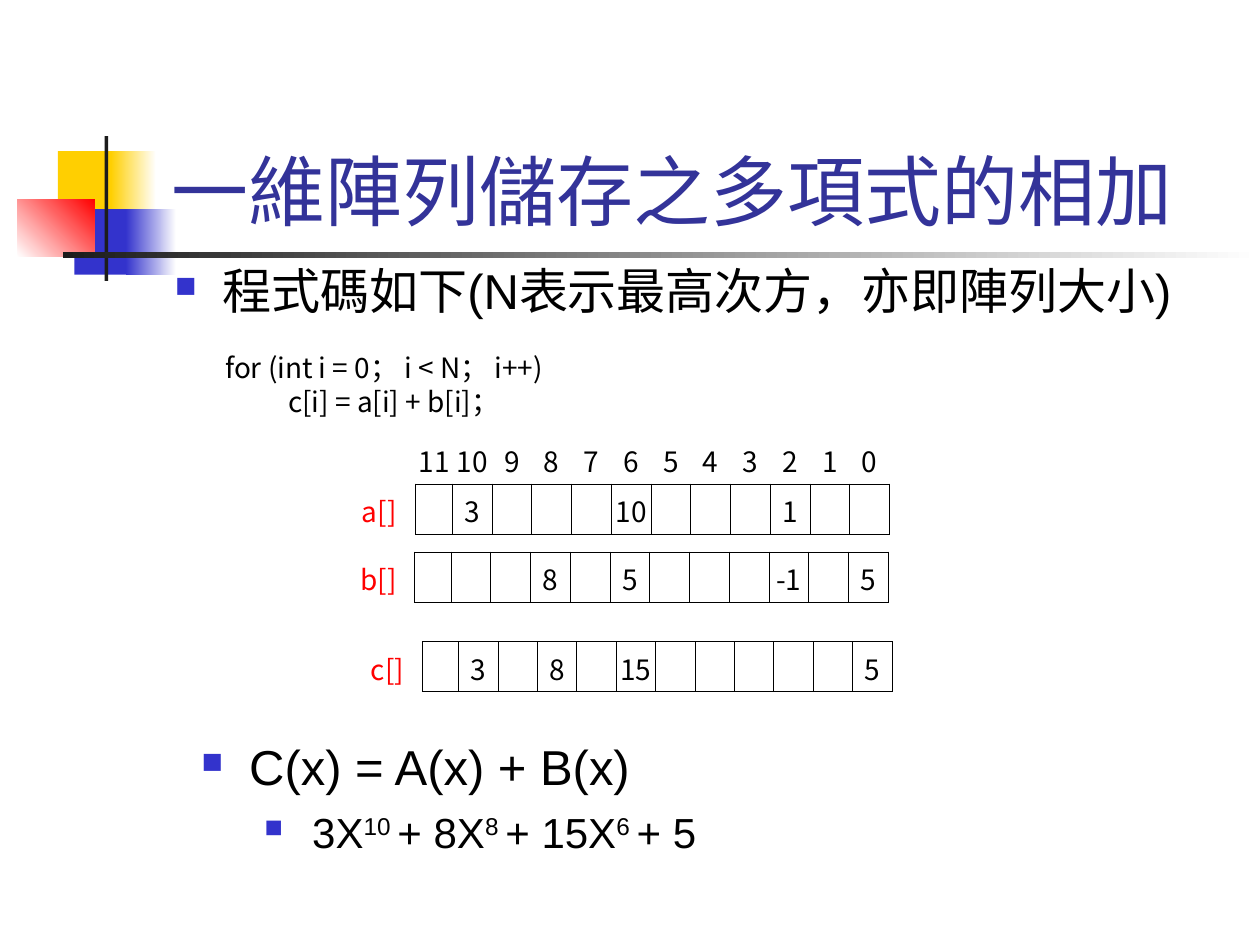
from lxml import etree
from pptx import Presentation
from pptx.dml.color import RGBColor
from pptx.enum.shapes import MSO_SHAPE
from pptx.enum.text import MSO_ANCHOR, MSO_AUTO_SIZE, PP_ALIGN
from pptx.oxml.ns import qn
from pptx.util import Inches, Pt

RECTANGLE = MSO_SHAPE.RECTANGLE
TOP, MIDDLE, BOTTOM = MSO_ANCHOR.TOP, MSO_ANCHOR.MIDDLE, MSO_ANCHOR.BOTTOM
GROW = MSO_AUTO_SIZE.SHAPE_TO_FIT_TEXT
CENTER = PP_ALIGN.CENTER

LATIN = "Arial"
CJK = "Noto Sans CJK TC"
COLORS = {
    "yellow": "FFCF01",
    "blue": "3333CC",
    "red": "FF0000",
    "white": "FFFFFF",
    "charcoal": "1C1C1C",
    "title": "333399",
    "text": "000000",
}
NO_TABLE_STYLE = "{2D5ABB26-0587-4C30-8999-92F81FD0307C}"
TOP_POWER = 11
FIRST_CELL_WIDTH = 0.29


def rgb(name):
    return RGBColor.from_string(COLORS[name])


def add_block(slide, box, colors, angle=0):
    block = slide.shapes.add_shape(RECTANGLE, *map(Inches, box))
    block.shadow.inherit = False
    block.line.fill.background()
    if len(colors) == 1:
        block.fill.solid()
        block.fill.fore_color.rgb = rgb(colors[0])
        return
    block.fill.gradient()
    block.fill.gradient_angle = angle
    for stop, color in zip(block.fill.gradient_stops, colors):
        stop.color.rgb = rgb(color)


def style_paragraph(paragraph, size, color="text", font=LATIN):
    paragraph.font.size = Pt(size)
    paragraph.font.color.rgb = rgb(color)
    paragraph.font.name = font
    defaults = paragraph._p.pPr.find(qn("a:defRPr"))
    etree.SubElement(defaults, qn("a:ea"), typeface=CJK)


def add_text_frame(slide, box, anchor=TOP):
    frame = slide.shapes.add_textbox(*map(Inches, box)).text_frame
    frame.word_wrap = True
    frame.vertical_anchor = anchor
    return frame


def add_bullet(paragraph, level=0):
    paragraph.level = level
    properties = paragraph._p.get_or_add_pPr()
    properties.set("marL", str(Inches(0.38 + 0.5 * level)))
    properties.set("indent", str(Inches(-0.38)))
    bullet_color = etree.SubElement(properties, qn("a:buClr"))
    etree.SubElement(bullet_color, qn("a:srgbClr"), val=COLORS["blue"])
    etree.SubElement(properties, qn("a:buSzPct"), val="60000")
    etree.SubElement(properties, qn("a:buChar"), char="■")


def add_powers(paragraph, terms):
    for term, power in terms:
        paragraph.add_run().text = term
        if power:
            exponent = paragraph.add_run()
            exponent.text = power
            exponent._r.get_or_add_rPr().set("baseline", "30000")


def add_borders(cell, sides):
    properties = cell._tc.get_or_add_tcPr()
    for side in sides:
        line = etree.SubElement(properties, qn(f"a:ln{side}"), w=str(Pt(0.45)))
        fill = etree.SubElement(line, qn("a:solidFill"))
        etree.SubElement(fill, qn("a:srgbClr"), val=COLORS["text"])


def fill_cell(cell, text, color, sides):
    add_borders(cell, sides)
    cell.fill.background()
    cell.margin_left = cell.margin_right = Inches(0.02)
    cell.margin_top = cell.margin_bottom = Inches(0.05)
    if text:
        paragraph = cell.text_frame.paragraphs[0]
        paragraph.text = text
        paragraph.alignment = CENTER
        paragraph.space_before = paragraph.space_after = Pt(2)
        style_paragraph(paragraph, 16, color, CJK)


def add_array_table(slide, box, label_width, rows):
    columns = TOP_POWER + 2
    table = slide.shapes.add_table(len(rows), columns, *map(Inches, box)).table
    table.first_row = table.horz_banding = False
    table._tbl.tblPr.find(qn("a:tableStyleId")).text = NO_TABLE_STYLE
    cell_width = (box[2] - label_width - FIRST_CELL_WIDTH) / TOP_POWER
    widths = [label_width, FIRST_CELL_WIDTH] + [cell_width] * TOP_POWER
    for column, width in zip(table.columns, widths):
        column.width = Inches(width)
    for r, (label, coefficients) in enumerate(rows):
        fill_cell(table.cell(r, 0), label, "red", "R" if label else "")
        for c in range(1, columns):
            coefficient = coefficients.get(TOP_POWER + 1 - c, "")
            sides = "LRTB" if label else "B"
            fill_cell(table.cell(r, c), str(coefficient), "text", sides)


def add_decoration(slide):
    add_block(slide, (0.46, 1.2, 0.48, 0.52), ["yellow"])
    add_block(slide, (0.88, 1.2, 0.36, 0.52), ["yellow", "white"])
    add_block(slide, (0.59, 1.66, 0.46, 0.52), ["blue"])
    add_block(slide, (1, 1.66, 0.4, 0.52), ["blue", "white"])
    add_block(slide, (0.14, 1.58, 0.61, 0.46), ["white", "red"], 45)
    add_block(slide, (0.83, 1.08, 0.03, 1.15), ["charcoal"])
    add_block(slide, (0.5, 2, 9.5, 0.05), ["charcoal", "white"])


def main():
    presentation = Presentation()
    presentation.slide_width = Inches(10)
    presentation.slide_height = Inches(7.5)
    slide = presentation.slides.add_slide(presentation.slide_layouts[6])
    add_decoration(slide)

    title = add_text_frame(slide, (1.26, 0.67, 8.52, 1.25), BOTTOM).paragraphs[0]
    title.text = "一維陣列儲存之多項式的相加"
    style_paragraph(title, 44, "title")

    intro = add_text_frame(slide, (1.29, 2.02, 8.5, 0.68)).paragraphs[0]
    intro.text = "程式碼如下(N表示最高次方，亦即陣列大小)"
    add_bullet(intro)
    style_paragraph(intro, 28)

    powers = {power: power for power in range(TOP_POWER + 1)}
    add_array_table(slide, (2.72, 3.44, 4.34, 0.66), 0.58,
                    [("", powers), ("a[]", {10: 3, 6: 10, 2: 1})])
    add_array_table(slide, (2.72, 4.38, 4.33, 0.31), 0.57,
                    [("b[]", {8: 8, 6: 5, 2: -1, 0: 5})])
    add_array_table(slide, (2.8, 5.09, 4.28, 0.39), 0.55,
                    [("c[]", {10: 3, 8: 8, 6: 15, 0: 5})])

    code_frame = add_text_frame(slide, (1.69, 2.73, 6.06, 0.64), MIDDLE)
    code_frame.auto_size = GROW
    code = code_frame.paragraphs[0]
    code.text = "for (int i = 0； i < N； i++)\n\tc[i] = a[i] + b[i]；"
    style_paragraph(code, 16, font=CJK)

    result_frame = add_text_frame(slide, (1.5, 5.8, 7.83, 1.34))
    equation = result_frame.paragraphs[0]
    equation.text = "C(x) = A(x) + B(x)"
    add_bullet(equation)
    style_paragraph(equation, 28)

    polynomial = result_frame.add_paragraph()
    add_powers(polynomial, [("3X", "10 "), ("+ 8X", "8 "), ("+ 15X", "6 "), ("+ 5", "")])
    add_bullet(polynomial, 1)
    polynomial.space_before = Pt(6)
    style_paragraph(polynomial, 24)

    presentation.save("out.pptx")


if __name__ == "__main__":
    main()
